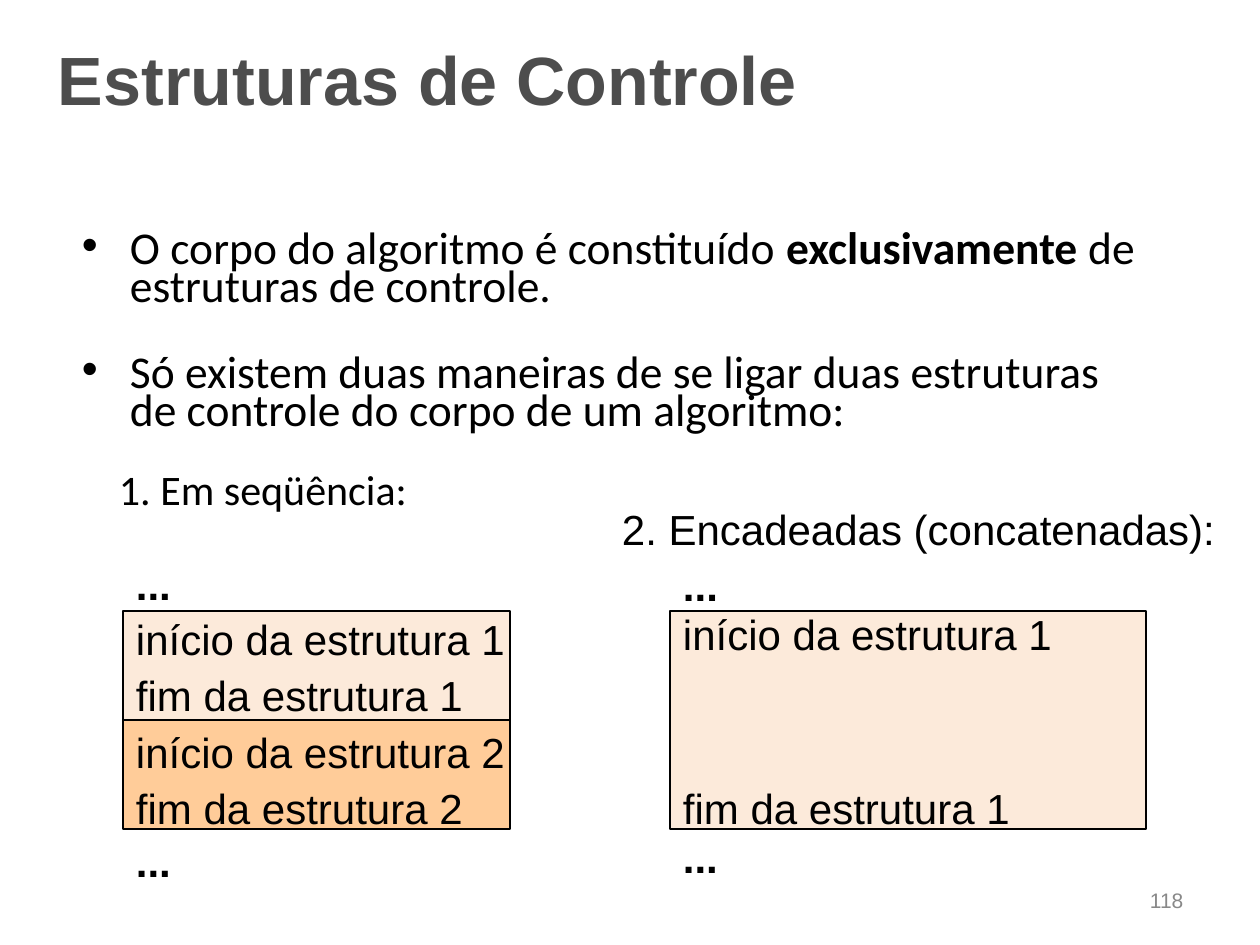
from typing import NamedTuple, Optional

from lxml.etree import SubElement as Sub
from pptx import Presentation as Deck
from pptx.dml.color import RGBColor as Rgb
from pptx.enum.shapes import MSO_SHAPE as Shape
from pptx.enum.text import MSO_ANCHOR as Anchor, PP_ALIGN as Align
from pptx.oxml.ns import qn
from pptx.util import Pt

PX = 914400 // 126
BLACK = Rgb(0, 0, 0)
GREY = Rgb(0x4D, 0x4D, 0x4D)
PALE = Rgb(0x88, 0x88, 0x88)
CREAM = Rgb(0xFC, 0xEA, 0xDA)
PEACH = Rgb(0xFF, 0xCC, 0x99)


class Para(NamedTuple):
    """A paragraph; text between asterisks is bold."""
    text: str
    left: int = 1
    gap: float = 0
    lead: Optional[float] = None
    mark: bool = False


class Box(NamedTuple):
    """A text block, framed when it has a fill."""
    x: int
    y: int
    w: int
    h: int
    paras: tuple
    top: int = 3
    size: int = 24
    face: str = "Arial"
    tint: Rgb = BLACK
    fill: Optional[Rgb] = None


def write(para, item: Para, box: Box) -> None:
    """Fill one paragraph with its runs."""
    prop = para._p.get_or_add_pPr()
    prop.set("marL", str(item.left * PX))
    prop.set("indent", str(-48 * PX if item.mark else 0))
    look = {"alignment": Align.LEFT, "space_before": Pt(item.gap), "line_spacing": item.lead}
    for key, val in look.items():
        setattr(para, key, val)
    if item.mark:
        Sub(prop, qn("a:buFont")).set("typeface", "Arial")
        Sub(prop, qn("a:buChar")).set("char", "•")
    for num, part in enumerate(item.text.split("*")):
        if part:
            run = para.add_run()
            run.text = part
            form = {"name": box.face, "size": Pt(box.size), "bold": num % 2 == 1}
            for key, val in form.items():
                setattr(run.font, key, val)
            run.font.color.rgb = box.tint


def draw(slide, box: Box) -> None:
    """Place one block on the slide."""
    area = [n * PX for n in box[:4]]
    if box.fill is None:
        shape = slide.shapes.add_textbox(*area)
    else:
        shape = slide.shapes.add_shape(Shape.RECTANGLE, *area)
        shape.shadow.inherit = False
        shape.fill.solid()
        shape.fill.fore_color.rgb = box.fill
        shape.line.color.rgb = BLACK
        shape.line.width = Pt(0.75)
    frame = shape.text_frame
    form = {
        "word_wrap": True, "vertical_anchor": Anchor.TOP, "margin_left": 0,
        "margin_right": 0, "margin_top": box.top * PX, "margin_bottom": 0,
    }
    for key, val in form.items():
        setattr(frame, key, val)
    for num, item in enumerate(box.paras):
        write(frame.add_paragraph() if num else frame.paragraphs[0], item, box)


def block(num: int, y: int, top: int, fill: Rgb) -> Box:
    """Make one framed structure of the sequence."""
    rows = (Para(f"início da estrutura {num}", 13), Para(f"fim da estrutura {num}", 13, 3))
    return Box(123, y, 387, 109, rows, top, fill=fill)


def dots(x: int, y: int) -> Box:
    """Make an ellipsis block."""
    return Box(x, y, 38, 54, (Para("*...*"),))


BODY = (
    Para("O corpo do algoritmo é constituído *exclusivamente* de estruturas de controle.",
         49, lead=0.7, mark=True),
    Para("Só existem duas maneiras de se ligar duas estruturas de controle do corpo"
         " de um algoritmo:", 49, 27, 0.7, True),
)
CHAIN = (Para("2. Encadeadas (concatenadas):"), Para("*...*", 62, 2.8))
NEST = (Para("início da estrutura 1", 13, lead=Pt(27.2)), Para("fim da estrutura 1", 13, 71))

BOXES = (
    Box(1145, 888, 45, 26, (Para("118", 5, lead=Pt(14.2)),), 0, 12, tint=PALE),
    Box(81, 212, 1076, 222, BODY, 22, 26, "Calibri"),
    Box(117, 461, 292, 54, (Para("1. Em seqüência:", 2),), face="Calibri"),
    dots(135, 556),
    block(1, 611, 3, CREAM),
    block(2, 720, 7, PEACH),
    dots(135, 833),
    Box(621, 491, 600, 115, CHAIN, 13),
    Box(670, 611, 476, 218, NEST, 0, fill=CREAM),
    dots(682, 829),
    Box(56, 34, 745, 86, (Para("*Estruturas de Controle*", 2),), 3, 39, tint=GREY),
)


def main() -> None:
    """Build and save the slide."""
    deck = Deck()
    deck.slide_width, deck.slide_height = 1260 * PX, 945 * PX
    slide = deck.slides.add_slide(deck.slide_layouts[6])
    for box in BOXES:
        draw(slide, box)
    deck.save("out.pptx")


if __name__ == "__main__":
    main()
